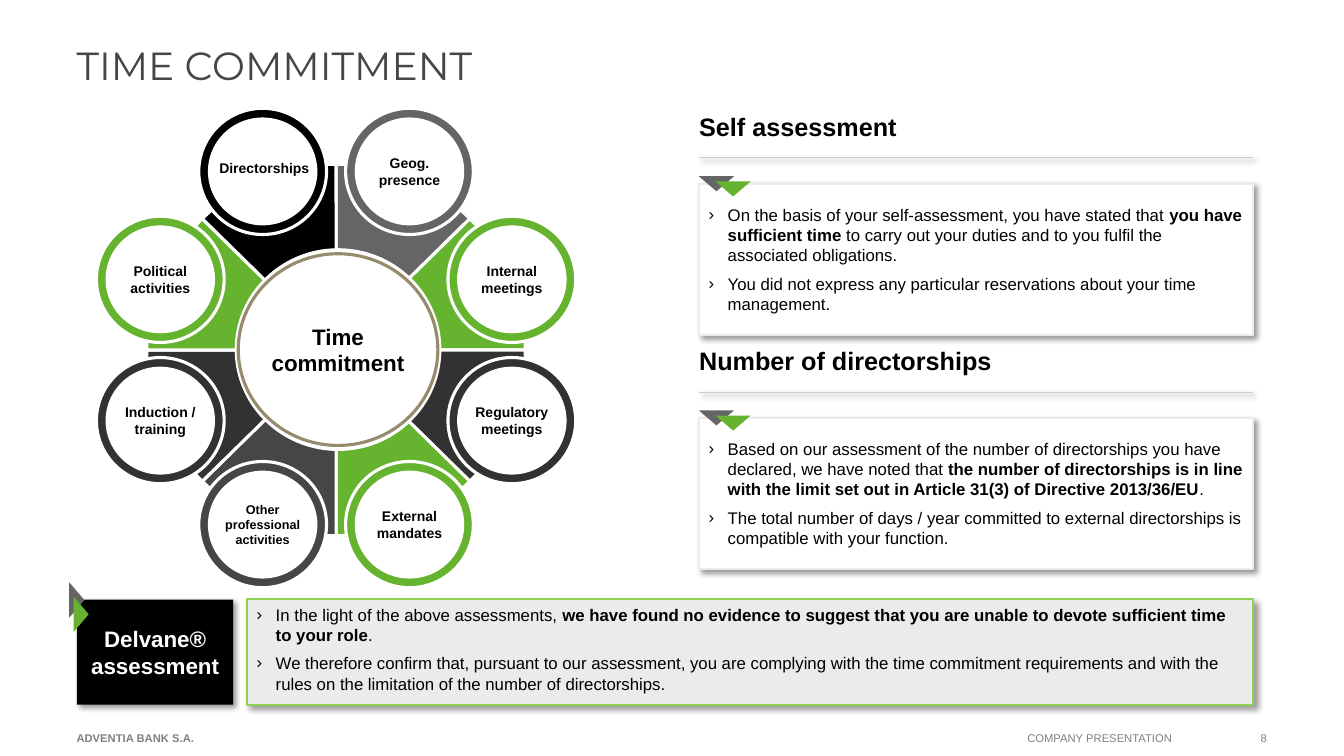
from math import cos, pi, sin, tan

from lxml import etree
from pptx import Presentation
from pptx.dml.color import RGBColor
from pptx.enum.shapes import MSO_CONNECTOR as CONNECTOR
from pptx.enum.shapes import MSO_SHAPE as SHAPE
from pptx.enum.text import MSO_ANCHOR as ANCHOR
from pptx.enum.text import PP_ALIGN as ALIGN
from pptx.oxml import parse_xml
from pptx.oxml.ns import nsdecls, qn
from pptx.util import Cm, Pt

COLORS = {
    "black": "000000", "white": "FFFFFF", "green": "65B32E", "lime": "92D050",
    "grey": "656565", "slate": "464646", "charcoal": "323232", "footer": "808080",
    "pale": "EBEBEB", "rule": "CCCCCC", "sand": "968C6D",
}
RGB = {name: RGBColor.from_string(value) for name, value in COLORS.items()}
SHADOW = (
    f'<a:effectLst {nsdecls("a")}><a:outerShdw blurRad="{Pt(4)}" dist="{Pt(3)}" dir="2700000" '
    'algn="tl" rotWithShape="0"><a:srgbClr val="000000"><a:alpha val="40000"/></a:srgbClr>'
    '</a:outerShdw></a:effectLst>'
)


def style(shape, fill, line=None, width=2.25, shadow=False):
    shape.fill.solid()
    shape.fill.fore_color.rgb = RGB[fill]
    if line:
        shape.line.color.rgb = RGB[line]
        shape.line.width = Pt(width)
    else:
        shape.line.fill.background()
    shape.shadow.inherit = False
    if shadow:
        properties = shape._element.spPr
        properties.replace(properties.find(qn("a:effectLst")), parse_xml(SHADOW))
    return shape


def write(shape, paragraphs, size, color="black", font="Arial", align=ALIGN.LEFT,
          anchor=ANCHOR.MIDDLE, insets=(0.25, 0.13, 0.25, 0.13), spacing=0, bullets=False):
    frame = shape.text_frame
    left, top, right, bottom = (Cm(inset) for inset in insets)
    frame_format = {"word_wrap": True, "vertical_anchor": anchor, "margin_left": left,
                    "margin_top": top, "margin_right": right, "margin_bottom": bottom}
    for name, value in frame_format.items():
        setattr(frame, name, value)
    for index, runs in enumerate(paragraphs):
        paragraph = frame.add_paragraph() if index else frame.paragraphs[0]
        paragraph_format = {"alignment": align, "space_before": Pt(spacing), "space_after": Pt(spacing)}
        for name, value in paragraph_format.items():
            setattr(paragraph, name, value)
        if bullets:
            properties = paragraph._p.get_or_add_pPr()
            properties.set("marL", str(Cm(0.48)))
            properties.set("indent", str(-Cm(0.48)))
            bullet_color = etree.SubElement(properties, qn("a:buClr"))
            etree.SubElement(bullet_color, qn("a:srgbClr"), val=COLORS["black"])
            etree.SubElement(properties, qn("a:buFont"), typeface=font)
            etree.SubElement(properties, qn("a:buChar"), char="›")
        for text, bold in runs:
            run = paragraph.add_run()
            run.text = text
            for name, value in {"name": font, "size": Pt(size), "bold": bold}.items():
                setattr(run.font, name, value)
            run.font.color.rgb = RGB[color]


presentation = Presentation()
presentation.slide_width, presentation.slide_height = Cm(33.87), Cm(19.05)
slide = presentation.slides.add_slide(presentation.slide_layouts[6])
shapes = slide.shapes

title = shapes.add_textbox(Cm(1.93), Cm(1.04), Cm(30), Cm(2.46))
write(title, [[("TIME COMMITMENT", False)]], 28, "slate", "Montserrat",
      anchor=ANCHOR.TOP, insets=(0, 0, 0, 0))

footers = [
    ("ADVENTIA BANK S.A.", 1.93, 5.74, True, ALIGN.LEFT, (0, 0.13, 0.25, 0.13)),
    ("COMPANY PRESENTATION", 25.64, 4.57, False, ALIGN.LEFT, (0.25, 0.13, 0.25, 0.13)),
    ("8", 31.07, 0.86, False, ALIGN.RIGHT, (0, 0.13, 0, 0.13)),
]
for text, left, width, bold, align, insets in footers:
    footer = shapes.add_textbox(Cm(left), Cm(18.14), Cm(width), Cm(0.91))
    write(footer, [[(text, bold)]], 8, "footer", align=align, insets=insets)

conclusion = shapes.add_shape(SHAPE.RECTANGLE, Cm(6.22), Cm(15.1), Cm(25.35), Cm(2.66))
style(conclusion, "pale", "lime", 1.5, shadow=True)
write(conclusion, [
    [("In the light of the above assessments, ", False),
     ("we have found no evidence to suggest that you are unable to devote sufficient time to your role", True),
     (".", False)],
    [("We therefore confirm that, pursuant to our assessment, you are complying with the time commitment "
      "requirements and with the rules on the limitation of the number of directorships.", False)],
], 12, anchor=ANCHOR.TOP, spacing=3, bullets=True)

center_x, center_y = 8.47, 8.82
radius_x, radius_y = 4.77, 4.68
sweep = pi / 4
handle = 4 / 3 * tan(sweep / 4)
petals = [
    ("Geog. presence", "grey", 1.85, -4.5, 10),
    ("Internal meetings", "green", 4.43, -1.78, 10),
    ("Regulatory meetings", "charcoal", 4.43, 1.78, 10),
    ("External mandates", "green", 1.85, 4.4, 10),
    ("Other professional activities", "slate", -1.85, 4.4, 9),
    ("Induction / training", "charcoal", -4.43, 1.78, 10),
    ("Political activities", "green", -4.43, -1.78, 10),
    ("Directorships", "black", -1.85, -4.5, 10),
]
for index, (label, color, shift_x, shift_y, size) in enumerate(petals):
    start, end = index * sweep, (index + 1) * sweep
    directions = [
        (sin(start), cos(start)),
        (sin(start) + handle * cos(start), cos(start) - handle * sin(start)),
        (sin(end) - handle * cos(end), cos(end) + handle * sin(end)),
        (sin(end), cos(end)),
        (0, 0),
    ]
    points = [(Cm(center_x + radius_x * x), Cm(center_y - radius_y * y)) for x, y in directions]
    builder = shapes.build_freeform(*points[0])
    builder.add_line_segments(points[1:], close=True)
    wedge = style(builder.convert_to_shape(), color, "white")
    lines = list(wedge._element.iter(qn("a:lnTo")))
    curve = etree.Element(qn("a:cubicBezTo"))
    lines[0].addprevious(curve)
    for line in lines[:3]:
        curve.append(line[0])
        line.getparent().remove(line)

for label, color, shift_x, shift_y, size in petals:
    middle_x, middle_y = center_x + shift_x, center_y + shift_y
    for fill, width, height in ((color, 3.22, 3.18), ("white", 2.68, 2.64)):
        disc = shapes.add_shape(SHAPE.OVAL, Cm(middle_x - width / 2), Cm(middle_y - height / 2),
                                Cm(width), Cm(height))
        style(disc, fill, "white")
    if label == "Directorships":
        caption = shapes.add_textbox(Cm(5.1), Cm(3.9), Cm(3.12), Cm(0.67))
        write(caption, [[(label, True)]], size, align=ALIGN.CENTER, anchor=ANCHOR.TOP)
    else:
        write(disc, [[(label, True)]], size, align=ALIGN.CENTER, insets=(0, 0, 0, 0))

for line, width, height in (("white", 5.13, 5.03), ("sand", 5.03, 4.83)):
    hub = shapes.add_shape(SHAPE.OVAL, Cm(8.52 - width / 2), Cm(8.81 - height / 2), Cm(width), Cm(height))
    style(hub, "white", line)
write(hub, [[("Time commitment", True)]], 16, align=ALIGN.CENTER, insets=(0, 0, 0, 0))

sections = [
    ("Self assessment", 2.68, [
        [("On the basis of your self-assessment, you have stated that ", False),
         ("you have sufficient time ", True),
         ("to carry out your duties and to you fulfil the associated obligations.", False)],
        [("You did not express any particular reservations about your time management.", False)],
    ]),
    ("Number of directorships", 8.58, [
        [("Based on our assessment of the number of directorships you have declared, we have noted that ", False),
         ("the number of directorships is in line with the limit set out in Article 31(3) of "
          "Directive 2013/36/EU", True),
         (".", False)],
        [("The total number of days / year committed to external directorships is compatible with "
          "your function.", False)],
    ]),
]
markers = []
for heading_text, top, paragraphs in sections:
    heading = shapes.add_textbox(Cm(17.37), Cm(top), Cm(11.23), Cm(1.02))
    write(heading, [[(heading_text, True)]], 18, anchor=ANCHOR.TOP)
    rule = shapes.add_connector(CONNECTOR.STRAIGHT, Cm(17.61), Cm(top + 1.3), Cm(31.57), Cm(top + 1.3))
    rule.line.color.rgb = RGB["rule"]
    rule.line.width = Pt(0.75)
    rule._element.spPr.append(parse_xml(SHADOW))
    card = shapes.add_shape(SHAPE.RECTANGLE, Cm(17.61), Cm(top + 1.95), Cm(13.97), Cm(3.81))
    style(card, "white", "pale", 1.5, shadow=True)
    write(card, paragraphs, 12, spacing=3, bullets=True)
    markers += [(17.61, top + 1.76, 180, "grey"), (18.03, top + 1.89, 180, "green")]

assessor = shapes.add_shape(SHAPE.RECTANGLE, Cm(1.94), Cm(15.11), Cm(3.94), Cm(2.65))
style(assessor, "black", shadow=True)
write(assessor, [[("Delvane® assessment", True)]], 16, "white", align=ALIGN.CENTER,
      insets=(0.08, 0.08, 0.08, 0.08), spacing=3)

markers += [(1.49, 14.93, 90, "grey"), (1.6, 15.29, 90, "green")]
for left, top, rotation, color in markers:
    marker = shapes.add_shape(SHAPE.ISOSCELES_TRIANGLE, Cm(left), Cm(top), Cm(0.89), Cm(0.38))
    marker.rotation = rotation
    style(marker, color)

presentation.save("out.pptx")
